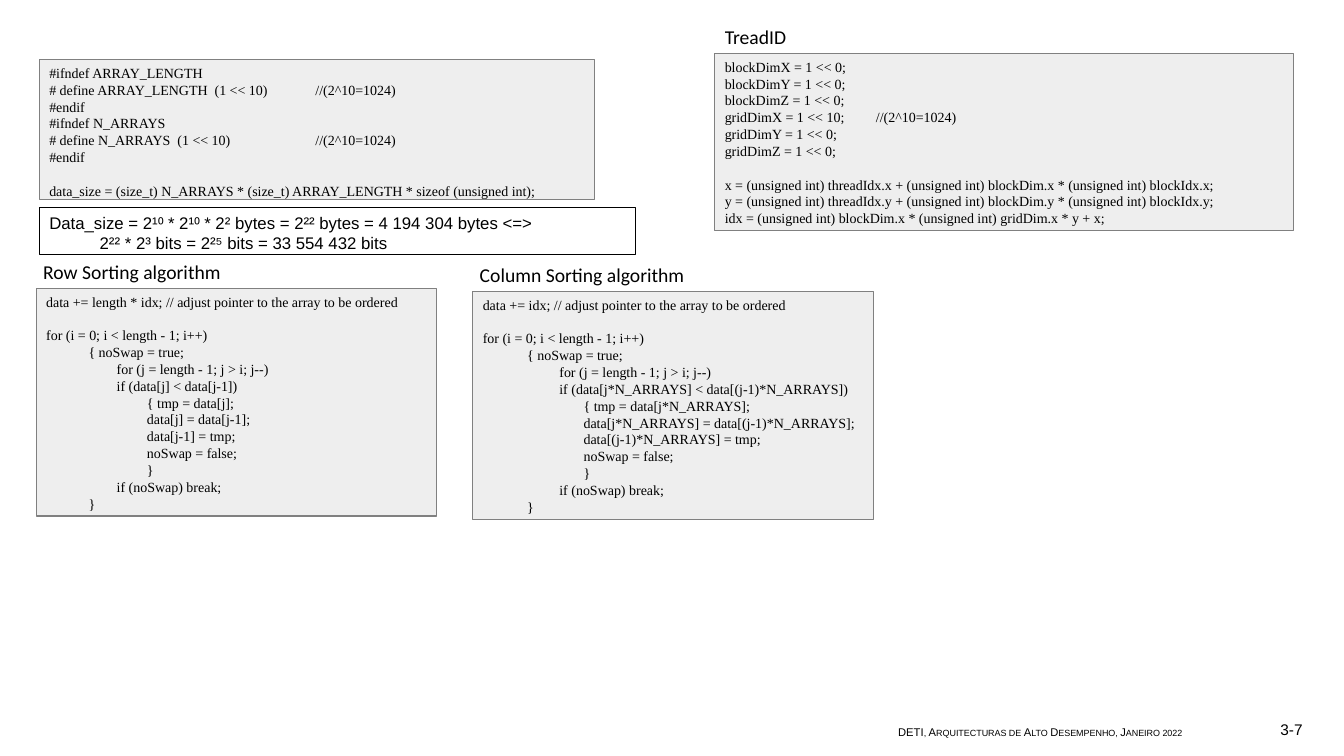
from lxml.etree import SubElement
from pptx import Presentation
from pptx.dml.color import RGBColor
from pptx.enum.shapes import MSO_SHAPE
from pptx.enum.text import MSO_ANCHOR, PP_ALIGN
from pptx.oxml.ns import qn
from pptx.util import Inches, Pt

CODE_FONT, HEADING_FONT, PLAIN_FONT = "Times New Roman", "Calibri", "Arial"
BLACK, GREY, PALE, WHITE = "000000", "808080", "EEEEEE", "FFFFFF"
CODE_LINE = 12  # points taken by one line of code


def sorting_code(offset, current, previous):
    return [
        f"data += {offset}; // adjust pointer to the array to be ordered",
        "",
        "for (i = 0; i < length - 1; i++)",
        "\t{ noSwap = true;",
        "\t\tfor (j = length - 1; j > i; j--)",
        f"\t\tif (data[{current}] < data[{previous}])",
        f"\t\t\t{{ tmp = data[{current}];",
        f"\t\t\tdata[{current}] = data[{previous}];",
        f"\t\t\tdata[{previous}] = tmp;",
        "\t\t\tnoSwap = false;",
        "\t\t\t}",
        "\t\tif (noSwap) break;",
        "\t}",
    ]


THREAD_CODE = [
    "blockDimX = 1 << 0;",
    "blockDimY = 1 << 0;",
    "blockDimZ = 1 << 0;",
    "gridDimX = 1 << 10;\t//(2^10=1024)",
    "gridDimY = 1 << 0;",
    "gridDimZ = 1 << 0;",
    "",
    "x = (unsigned int) threadIdx.x + (unsigned int) blockDim.x * (unsigned int) blockIdx.x;",
    "y = (unsigned int) threadIdx.y + (unsigned int) blockDim.y * (unsigned int) blockIdx.y;",
    "idx = (unsigned int) blockDim.x * (unsigned int) gridDim.x * y + x;",
]
SIZE_CODE = [
    "#ifndef ARRAY_LENGTH",
    "# define ARRAY_LENGTH  (1 << 10)\t//(2^10=1024)",
    "#endif",
    "#ifndef N_ARRAYS",
    "# define N_ARRAYS  (1 << 10)\t//(2^10=1024)",
    "#endif",
    "",
    "data_size = (size_t) N_ARRAYS * (size_t) ARRAY_LENGTH * sizeof (unsigned int);",
]
SIZE_RESULT = [
    "Data_size = 2¹⁰ * 2¹⁰ * 2² bytes = 2²² bytes = 4 194 304 bytes <=>",
    "\t2²² * 2³ bits = 2²⁵ bits = 33 554 432 bits",
]
# place (left, top, width, height), outline width, tab stops, lines
CODE_PANELS = [
    ((7.09, 0.53, 5.74, 1.76), 0, (), THREAD_CODE),
    ((0.36, 2.86, 3.97, 2.26), 0, (0.42, 0.7),
     sorting_code("length * idx", "j", "j-1")),
    ((4.69, 2.89, 3.97, 2.26), 0, (0.44, 0.76),
     sorting_code("idx", "j*N_ARRAYS", "(j-1)*N_ARRAYS")),
    ((0.39, 0.59, 5.51, 1.39), 0.5, (2.64,), SIZE_CODE),
]
HEADINGS = [
    ((7.09, 0.2, 1.04, 0.33), "TreadID"),
    ((0.33, 2.53, 2.23, 0.33), "Row Sorting algorithm"),
    ((4.66, 2.56, 2.23, 0.33), "Column Sorting algorithm"),
]
FOOTER = "DETI, Arquitecturas de Alto Desempenho, Janeiro 2022"


def color(value):
    return RGBColor.from_string(value)


def write(box, lines, font, size, tabs=(), wrap=True):
    """Fill the box line by line; an empty line becomes space before the next."""
    frame = box.text_frame
    frame.word_wrap = wrap
    frame.vertical_anchor = MSO_ANCHOR.TOP
    para, gap = frame.paragraphs[0], 0
    for number, line in enumerate(lines):
        if not line:
            gap = CODE_LINE
            continue
        if number:
            para = frame.add_paragraph()
        para.alignment = PP_ALIGN.LEFT
        if gap:
            para.space_before = Pt(gap)
            gap = 0
        if tabs:
            tab_list = SubElement(para._p.get_or_add_pPr(), qn("a:tabLst"))
            for stop in tabs:
                SubElement(tab_list, qn("a:tab"), pos=str(Inches(stop)), algn="l")
        span = para.add_run()
        span.text = line
        span.font.name = font
        span.font.size = Pt(size)
        span.font.color.rgb = color(BLACK)


def add_panel(page, place, fill, outline, width):
    panel = page.shapes.add_shape(MSO_SHAPE.RECTANGLE, *map(Inches, place))
    panel.shadow.inherit = False
    panel.fill.solid()
    panel.fill.fore_color.rgb = color(fill)
    panel.line.color.rgb = color(outline)
    panel.line.width = Pt(width)
    return panel


def add_label(page, place, text, font, size, wrap=True):
    label = page.shapes.add_textbox(*map(Inches, place))
    write(label, [text], font, size, wrap=wrap)
    return label


def main():
    deck = Presentation()
    deck.slide_width, deck.slide_height = Inches(13.33), Inches(7.5)
    page = deck.slides.add_slide(deck.slide_layouts[6])

    for place, width, tabs, lines in CODE_PANELS:
        panel = add_panel(page, place, PALE, GREY, width)
        write(panel, lines, CODE_FONT, 10, tabs)
    for place, text in HEADINGS:
        add_label(page, place, text, HEADING_FONT, 14, wrap=False)

    result = add_panel(page, (0.39, 2.06, 5.91, 0.47), WHITE, BLACK, 0)
    write(result, SIZE_RESULT, PLAIN_FONT, 12)

    footer = add_label(page, (8.81, 7.15, 3.94, 0.35), FOOTER, PLAIN_FONT, 8)
    footer_span = footer.text_frame.paragraphs[0].runs[0]
    footer_span._r.get_or_add_rPr().set("cap", "small")
    add_label(page, (12.6, 7.09, 0.59, 0.34), "3-7", PLAIN_FONT, 11)

    deck.save("out.pptx")


if __name__ == "__main__":
    main()
